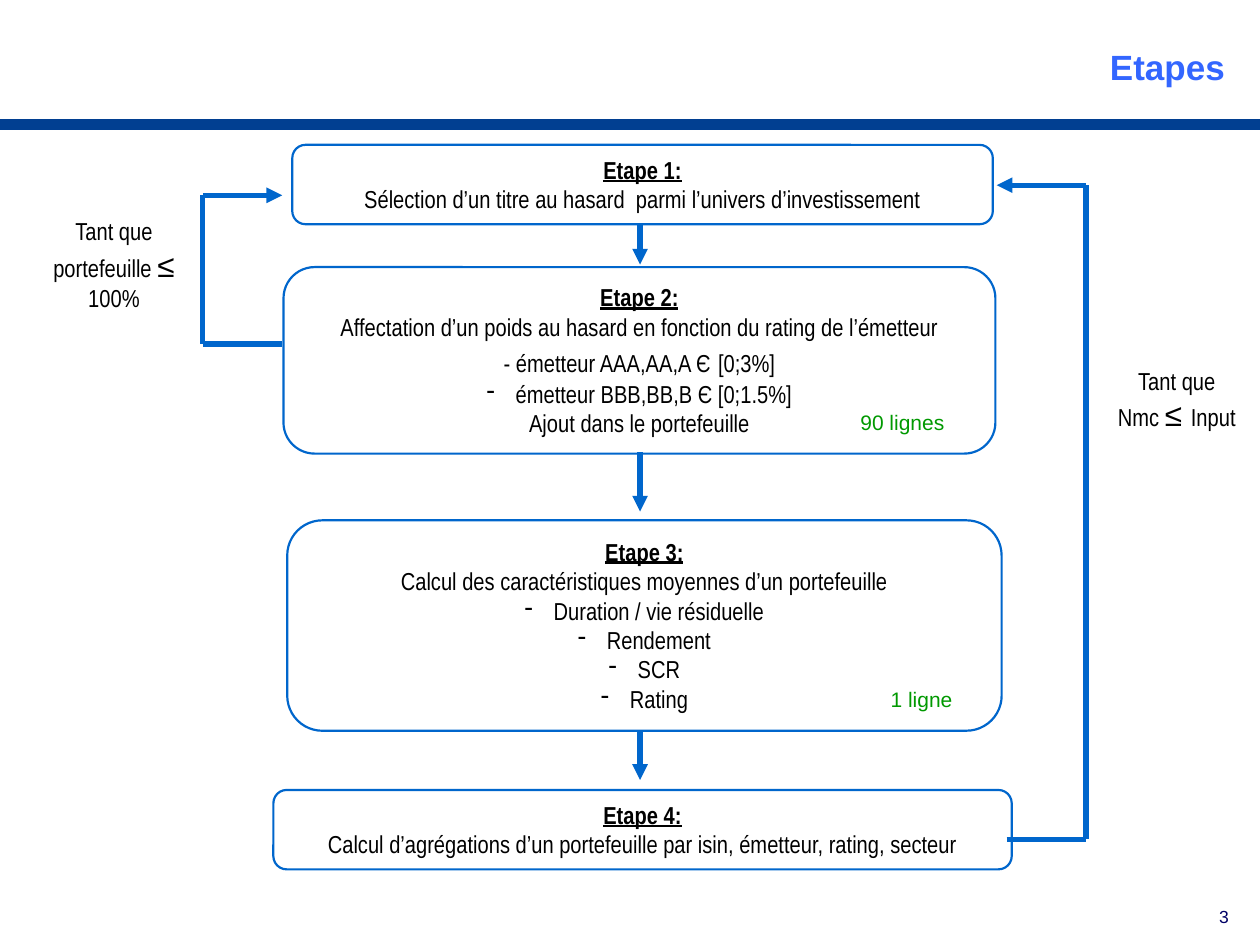
import pptx
import pptx.util
import pptx.dml.color
import pptx.enum.shapes
import pptx.enum.text
import pptx.oxml
import pptx.oxml.ns
import lxml.etree

Inches, Pt = pptx.util.Inches, pptx.util.Pt
SHAPE = pptx.enum.shapes.MSO_SHAPE
ANCHOR = pptx.enum.text.MSO_ANCHOR
ALIGN = pptx.enum.text.PP_ALIGN
qn = pptx.oxml.ns.qn

COLORS = {"title": "3366FF", "rule": "013F91", "flow": "0066CC", "text": "000000",
          "count": "009900", "number": "000066", "white": "FFFFFF"}

# Character formats: "color" names an entry of COLORS
BODY = {"name": "Arial Narrow", "size": Pt(14), "color": "text"}
HEAD = {**BODY, "bold": True, "underline": True}
WIDE_SPACE = {**BODY, "size": Pt(18)}
SYMBOL = {**WIDE_SPACE, "name": "Arial"}
TITLE = {"name": "Arial", "size": Pt(20), "color": "title", "bold": True}
COUNT = {"name": "Arial", "size": Pt(12), "color": "count"}
NUMBER = {"name": "Arial", "size": Pt(10), "color": "number"}

BULLET = "- "  # a paragraph given as (BULLET, text) gets a dash bullet
BULLET_INDENT = Inches(0.23)


def rgb(name):
    return pptx.dml.color.RGBColor.from_string(COLORS[name])


class Deck:
    def __init__(self, prs):
        self.slide = prs.slides.add_slide(prs.slide_layouts[6])

    def fill_text(self, sp, paragraphs, align, anchor=ANCHOR.TOP):
        """Each paragraph is a list of (text, format) runs or (BULLET, text)."""
        tf = sp.text_frame
        tf.word_wrap = True
        tf.vertical_anchor = anchor
        for i, runs in enumerate(paragraphs):
            p = tf.paragraphs[0] if i == 0 else tf.add_paragraph()
            p.alignment = align
            if runs[0] == BULLET:
                self.bullet(p)
                runs = [(runs[1], BODY)]
            for text, style in runs:
                r = p.add_run()
                r.text = text
                for key, value in style.items():
                    if key == "color":
                        r.font.color.rgb = rgb(value)
                    else:
                        setattr(r.font, key, value)

    def bullet(self, p):
        pPr = p._p.get_or_add_pPr()
        pPr.set("marL", str(BULLET_INDENT))
        pPr.set("indent", str(-BULLET_INDENT))
        lxml.etree.SubElement(pPr, qn("a:buChar")).set("char", "-")

    def text(self, box, runs, align=ALIGN.LEFT, anchor=ANCHOR.TOP):
        sp = self.slide.shapes.add_textbox(*map(Inches, box))
        self.fill_text(sp, [runs], align, anchor)

    def box(self, box, paragraphs, line="flow", fill=None):
        sp = self.slide.shapes.add_shape(SHAPE.ROUNDED_RECTANGLE, *map(Inches, box))
        sp.shadow.inherit = False
        if fill:
            sp.fill.solid()
            sp.fill.fore_color.rgb = rgb(fill)
        else:
            sp.fill.background()
        sp.line.color.rgb = rgb(line)
        sp.line.width = Pt(1.25)
        self.fill_text(sp, paragraphs, ALIGN.CENTER)

    def step(self, number, box, *paragraphs):
        self.box(box, [[(f"Etape {number}:", HEAD)], *paragraphs])

    def condition(self, box, before, after):
        runs = [(before, BODY), ("≤ ", SYMBOL), (after, BODY)]
        self.box(box, [runs], line="white", fill="white")

    def line(self, start, end, color="flow", width=3, arrow=False):
        sp = self.slide.shapes.add_connector(
            pptx.enum.shapes.MSO_CONNECTOR.STRAIGHT, *map(Inches, (*start, *end)))
        sp.line.color.rgb = rgb(color)
        sp.line.width = Pt(width)
        if arrow:
            ln = sp.line._get_or_add_ln()
            lxml.etree.SubElement(ln, qn("a:tailEnd")).set("type", "triangle")
        lxml.etree.SubElement(sp._element.spPr, qn("a:effectLst"))

    def route(self, *points):
        """Join the points with lines; the last one ends in an arrowhead."""
        for i in range(1, len(points)):
            self.line(points[i - 1], points[i], arrow=i == len(points) - 1)


def main():
    prs = pptx.Presentation()
    prs.slide_width, prs.slide_height = Inches(10), Inches(7.5)
    deck = Deck(prs)

    # Header
    deck.line((0, 0.99), (10, 0.99), color="rule", width=6)
    deck.text((2.72, 0.21, 7.1, 0.64), [("Etapes", TITLE)], ALIGN.RIGHT, ANCHOR.MIDDLE)

    # Steps
    deck.step(1, (2.32, 1.15, 5.56, 0.63),
              [("Sélection d’un titre au hasard  parmi l’univers d’investissement", BODY)])
    deck.step(2, (2.25, 2.12, 5.65, 1.48),
              [("Affectation d’un poids au hasard en fonction du rating de l’émetteur", BODY)],
              [("- émetteur AAA,AA,A Є", BODY), (" ", WIDE_SPACE), ("[0;3%]", BODY)],
              (BULLET, "émetteur BBB,BB,B Є [0;1.5%]"),
              [("Ajout dans le portefeuille", BODY)])
    deck.step(3, (2.28, 4.13, 5.67, 1.67),
              [("Calcul des caractéristiques moyennes d’un portefeuille", BODY)],
              *[(BULLET, item) for item in
                ("Duration / vie résiduelle", "Rendement", "SCR", "Rating")])
    deck.step(4, (2.17, 6.27, 5.86, 0.63),
              [("Calcul d’agrégations d’un portefeuille par isin, émetteur, rating, secteur",
                BODY)])

    # Arrows from step to step
    for top, bottom in ((1.78, 2.1), (3.59, 4.06), (5.8, 6.19)):
        deck.route((5.08, top), (5.08, bottom))

    # Loops back to step 1 and their conditions
    deck.route((2.24, 2.73), (1.61, 2.73), (1.61, 1.55), (2.24, 1.55))
    deck.route((7.99, 6.66), (8.62, 6.66), (8.62, 1.47), (7.91, 1.47))
    deck.condition((0.27, 1.62, 1.27, 0.96), "Tant que portefeuille ", "100%")
    deck.condition((8.72, 2.82, 1.24, 0.7), "Tant que Nmc ", "Input")

    # Line counts and slide number
    deck.text((6.73, 3.2, 1.02, 0.3), [("90 lignes", COUNT)])
    deck.text((6.97, 5.4, 0.87, 0.3), [("1 ligne", COUNT)])
    deck.text((7.52, 7.14, 2.33, 0.36), [("3", NUMBER)], ALIGN.RIGHT)

    prs.save("out.pptx")


if __name__ == "__main__":
    main()
